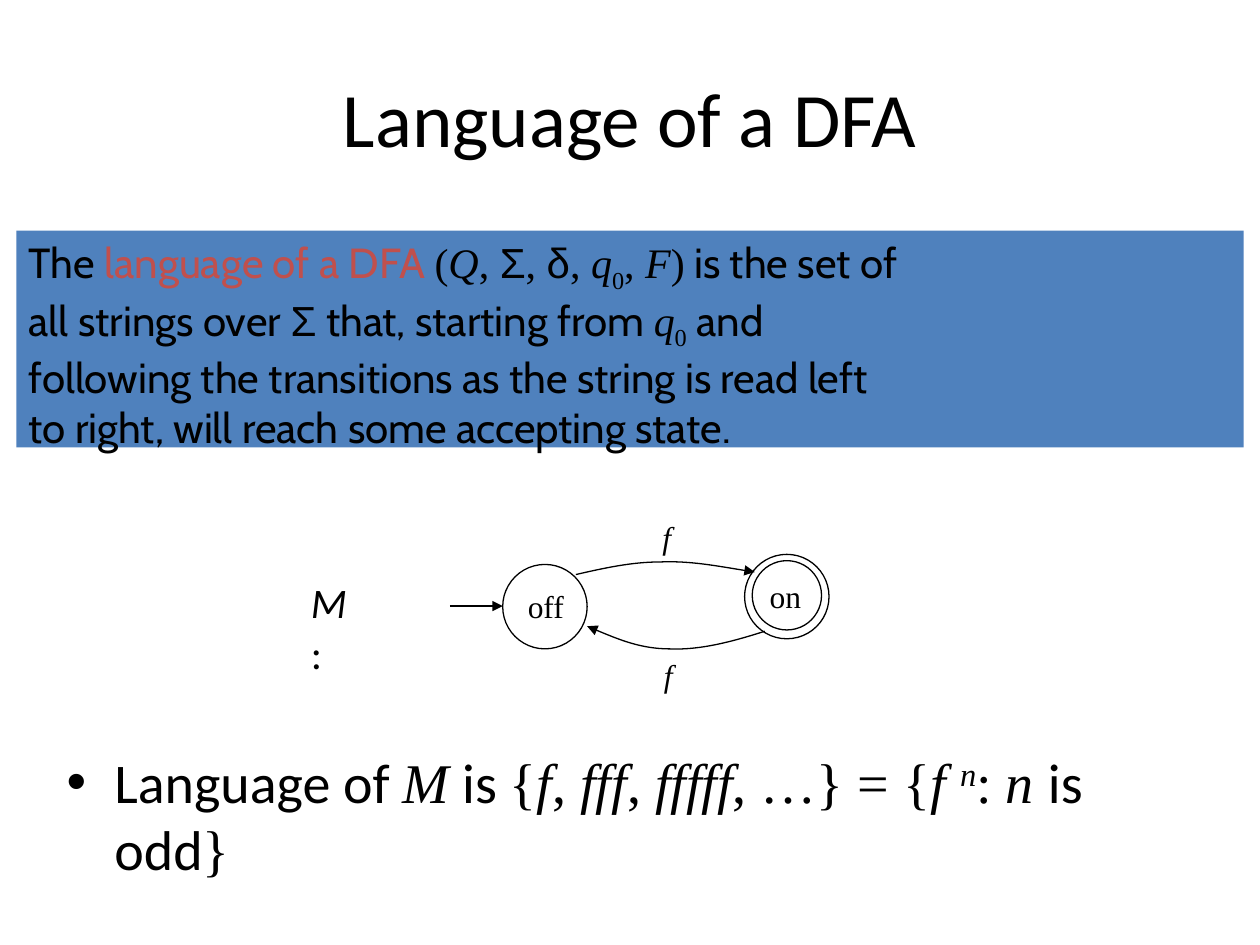
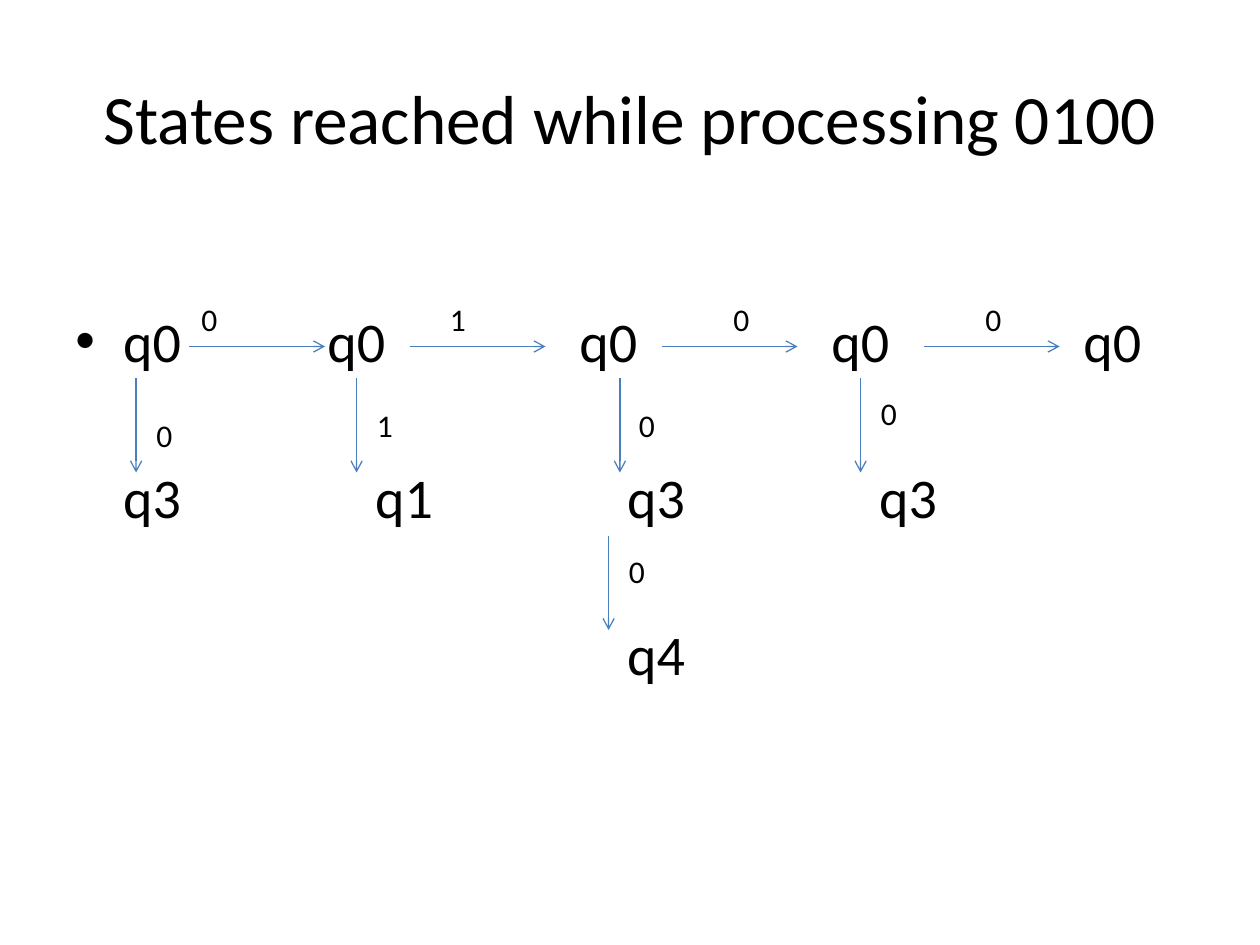
from lxml.etree import SubElement
from pptx import Presentation
from pptx.dml.color import RGBColor
from pptx.enum.shapes import MSO_CONNECTOR, MSO_SHAPE
from pptx.enum.text import MSO_ANCHOR as ANCHOR, MSO_AUTO_SIZE as AUTO, PP_ALIGN as ALIGN
from pptx.oxml.ns import qn
from pptx.util import Pt

PX = 9144  # EMU per px, 100 px to the inch
BLACK = RGBColor(0x00, 0x00, 0x00)
PANEL_BLUE = RGBColor(0x4F, 0x81, 0xBD)
ARROW_BLUE = RGBColor(0x4B, 0x7E, 0xBC)
TERM_RED = RGBColor(0xC0, 0x50, 0x4D)
SANS, SERIF, PROSE, GREEK = "Calibri", "Times New Roman", "Cabin", "Arial"
TITLE_BOX = (50, 30, 900, 125)
HANG = 38  # bullet indent


def write(frame, rows, size, font=None, wrap=True, bullet=False, tabs=()):
    """Fill a frame; each row lists (text, font, italic, baseline, colour) runs."""
    frame.word_wrap = wrap
    for row_no, runs in enumerate(rows):
        para = frame.paragraphs[0] if row_no == 0 else frame.add_paragraph()
        props = para._p.get_or_add_pPr()
        if bullet and row_no == 0:
            props.set("marL", str(HANG * PX))
            props.set("indent", str(-HANG * PX))
            SubElement(props, qn("a:buFont"), typeface="Arial")
            SubElement(props, qn("a:buChar"), char="•")
        if tabs:
            stops = SubElement(props, qn("a:tabLst"))
            for stop in tabs[row_no]:
                SubElement(stops, qn("a:tab"), pos=str(stop * PX), algn="l")
        para.alignment = ALIGN.LEFT
        para.font.size, para.font.color.rgb = Pt(size), BLACK
        if font:
            para.font.name = font
        for text, *style in runs:
            face, italic, baseline, colour = style + [None] * (4 - len(style))
            for line_no, line in enumerate(text.split("\n")):
                if line_no:
                    para.add_line_break()
                run = para.add_run()
                run.text = line
                if face:
                    run.font.name = face
                if italic:
                    run.font.italic = True
                if baseline:
                    run.font._element.set("baseline", str(baseline * 1000))
                if colour:
                    run.font.color.rgb = colour
    return frame


def stroke(shape, colour, **tips):
    """Thin line without shadow; tips are headEnd or tailEnd types."""
    shape.line.color.rgb, shape.line.width = colour, Pt(0.75)
    for end, tip in tips.items():
        SubElement(shape.line._get_or_add_ln(), qn("a:" + end), type=tip)
    SubElement(shape._element.spPr, qn("a:effectLst"))


prs = Presentation()
prs.slide_width, prs.slide_height = 1000 * PX, 750 * PX

# Titles
slides = []
for heading, size in (("Language of a DFA", 44),
                      ("States reached while processing 0100", 39.6)):
    slide = prs.slides.add_slide(prs.slide_layouts[6])
    title = slide.shapes.add_textbox(*(v * PX for v in TITLE_BOX)).text_frame
    write(title, [[(heading,)]], size, SANS)
    title.vertical_anchor = ANCHOR.MIDDLE
    title.paragraphs[0].alignment = ALIGN.CENTER
    slides.append(slide)
language, states = (slide.shapes for slide in slides)

# Definition panel
panel = language.add_shape(MSO_SHAPE.RECTANGLE, 13 * PX, 183 * PX, 974 * PX, 172 * PX)
panel.shadow.inherit = False
panel.fill.solid()
panel.fill.fore_color.rgb = PANEL_BLUE
panel.line.fill.background()
panel.text_frame.vertical_anchor = ANCHOR.TOP
write(panel.text_frame, [[
    ("The ", PROSE), ("language of a DFA ", PROSE, False, 0, TERM_RED),
    ("(", SERIF), ("Q", SERIF, True), (", ", SERIF), ("Σ", GREEK), (", ", SERIF),
    ("δ", GREEK), (", ", SERIF), ("q", SERIF, True), ("0", SERIF, False, -25),
    (", ", SERIF), ("F", SERIF, True), (")", SERIF),
    (" is the set of \nall strings over ", PROSE), ("Σ", GREEK),
    (" that, starting from ", PROSE), ("q", SERIF, True), ("0", SERIF, False, -25),
    (" and \nfollowing the transitions as the string is read left\n"
     "to right, will reach some accepting state.", PROSE),
]], 24)

# Language of M
answer = language.add_textbox(43 * PX, 588 * PX, 914 * PX, 95 * PX)
write(answer.text_frame, [[
    ("Language of ", SANS), ("M", SERIF, True), (" is ", SANS), ("{", SERIF),
    ("f", SERIF, True), (", ", SERIF), ("fff", SERIF, True), (", ", SERIF),
    ("fffff", SERIF, True), (", …} = {", SERIF), ("f ", SERIF, True),
    ("n", SERIF, True, 30), (": ", SERIF), ("n ", SERIF, True),
    ("is odd", SANS), ("}", SERIF),
]], 32, bullet=True)

# States of M: off, and on with its accepting ring
for left, top, diameter in ((399, 448, 67), (591, 440, 67), (597, 445, 55)):
    state = language.add_shape(MSO_SHAPE.OVAL, left * PX, top * PX,
                               diameter * PX, diameter * PX)
    state.fill.background()
    stroke(state, BLACK)

# Transitions: a start point, then three points for each Bézier piece
for start, points, tips in (
    ((457, 456), [(479, 451), (501, 446), (524, 446),
                  (548, 445), (573, 450), (599, 454)], {"tailEnd": "triangle"}),
    ((466, 497), [(487, 506), (509, 515), (532, 515),
                  (556, 516), (582, 509), (607, 501)], {"headEnd": "triangle"}),
):
    outline = language.build_freeform(*start, scale=PX)
    outline.add_line_segments(points, close=False)
    transition = outline.convert_to_shape()
    transition.fill.background()
    stroke(transition, BLACK, **tips)
    route = next(transition._element.iter(qn("a:path")))
    pieces = route.findall(qn("a:lnTo"))
    for first in range(0, len(pieces), 3):
        curve = SubElement(route, qn("a:cubicBezTo"))
        for piece in pieces[first:first + 3]:
            curve.append(piece[0])
            route.remove(piece)

# Labels of M
for left, top, width, height, size, runs in (
    (409, 461, 49, 40, 18, [("off", SERIF)]),
    (601, 453, 45, 40, 18, [("on", SERIF)]),
    (516, 406, 26, 40, 18, [("f", SERIF, True)]),
    (517, 516, 26, 40, 18, [("f", SERIF, True)]),
    (237, 453, 57, 50, 24, [("M", SANS, True), (":", SANS)]),
):
    label = language.add_textbox(left * PX, top * PX, width * PX, height * PX)
    write(label.text_frame, [runs], size, wrap=False).auto_size = AUTO.SHAPE_TO_FIT_TEXT

# Rows of states, set on tab stops
body = states.add_textbox(50 * PX, 175 * PX, 900 * PX, 495 * PX).text_frame
body.margin_top = 68 * PX
columns = [200 * step for step in range(1, 5)]
lower_columns = [HANG] + [HANG + column for column in columns[:3]]
write(body, [[("q0\tq0\tq0\tq0\tq0",)], [("\tq3\tq1\tq3\tq3",)], [("\tq4",)]], 32, SANS,
      bullet=True, tabs=(columns, lower_columns, lower_columns[2:3]))
for row in body.paragraphs[1:]:
    row.space_before = Pt(51)

# Arrows: the start of M, steps to the right, then branches down
arrows = [(language, 357, 481, 42, 0, BLACK, "triangle")]
arrows += [(states, x, 275, 108, 0, ARROW_BLUE, "arrow") for x in (150, 325, 525, 733)]
arrows += [(states, x, y, 0, 75, ARROW_BLUE, "arrow")
           for x, y in ((108, 300), (283, 300), (492, 300), (683, 300), (483, 425))]
for shapes, x, y, run_x, run_y, colour, tip in arrows:
    arrow = shapes.add_connector(MSO_CONNECTOR.STRAIGHT, x * PX, y * PX,
                                 (x + run_x) * PX, (y + run_y) * PX)
    stroke(arrow, colour, tailEnd=tip)

# Input symbols beside the arrows
for symbol, left, top, width in (
    ("0", 150, 233, 50), ("1", 350, 233, 17), ("0", 575, 233, 17), ("0", 775, 233, 17),
    ("0", 117, 325, 17), ("1", 292, 317, 17), ("0", 500, 317, 17), ("0", 692, 308, 17),
    ("0", 492, 433, 17),
):
    label = states.add_textbox(left * PX, top * PX, width * PX, 40 * PX)
    write(label.text_frame, [[(symbol,)]], 18, SANS).auto_size = AUTO.SHAPE_TO_FIT_TEXT

prs.save("out.pptx")
